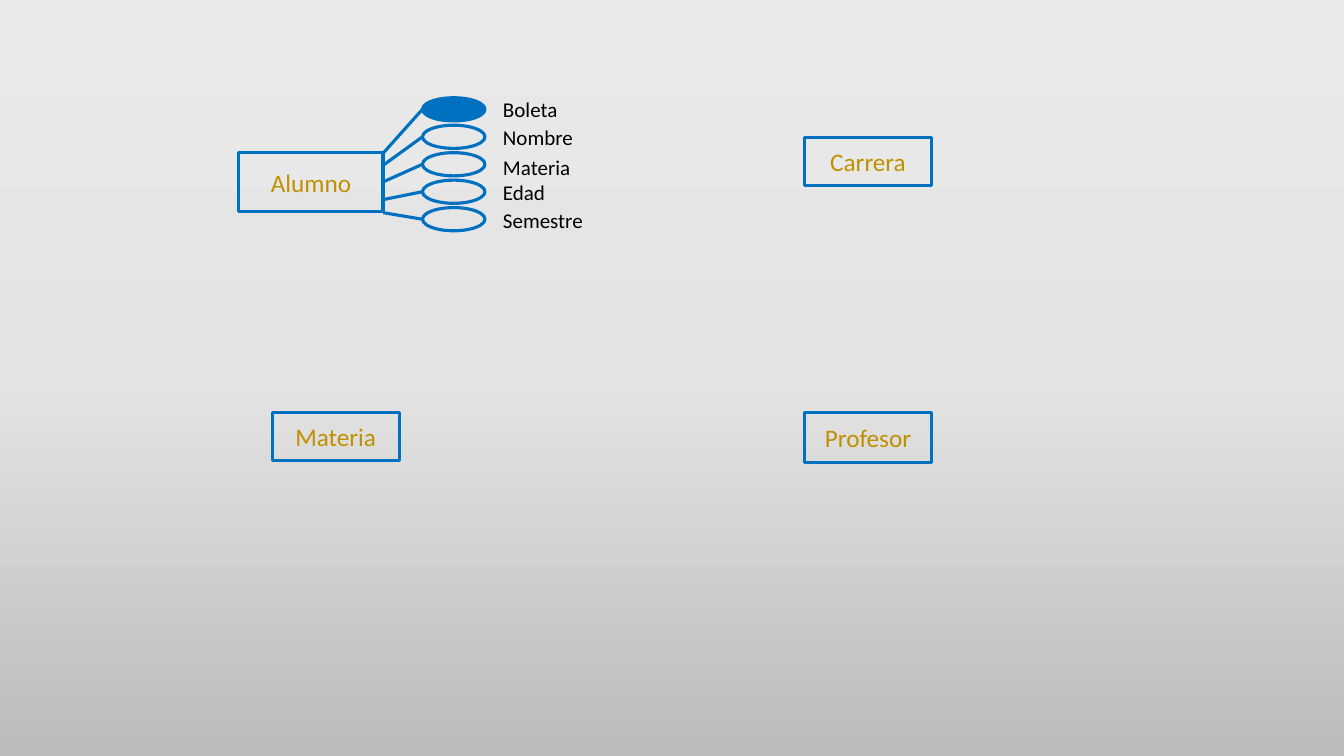
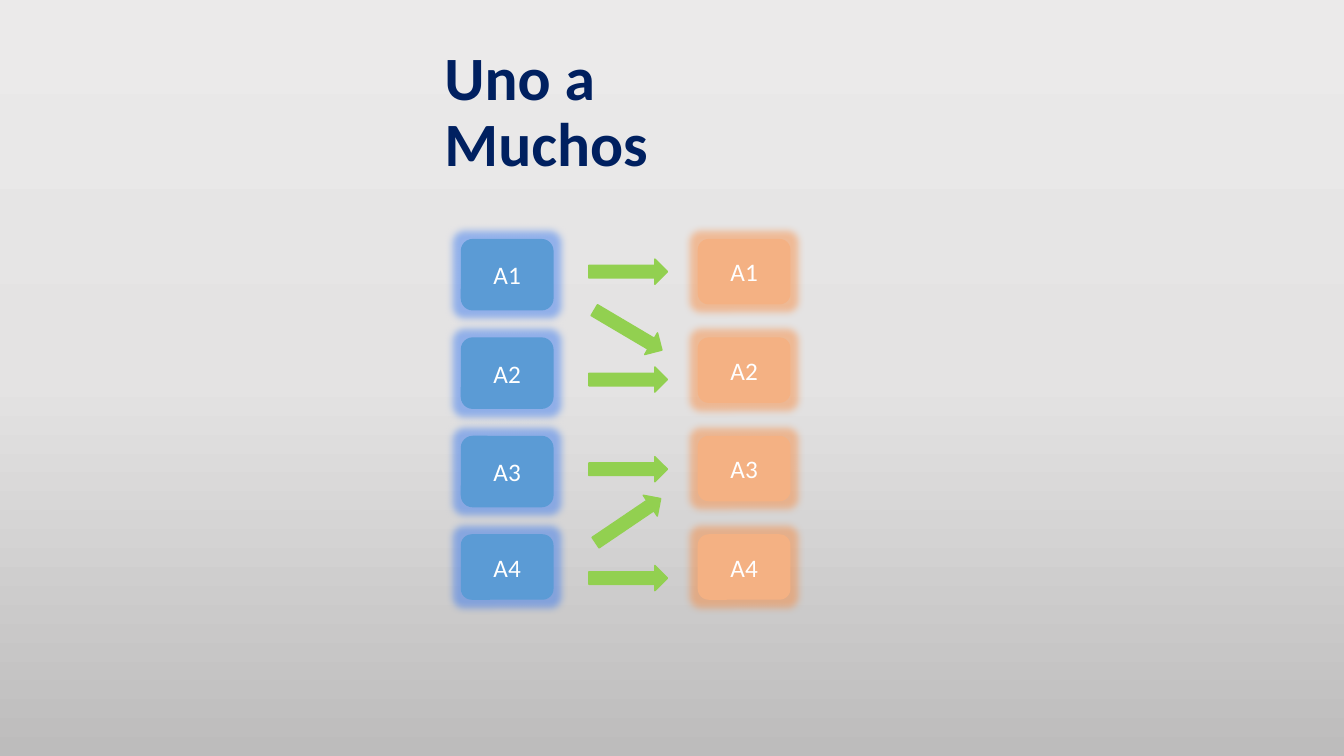
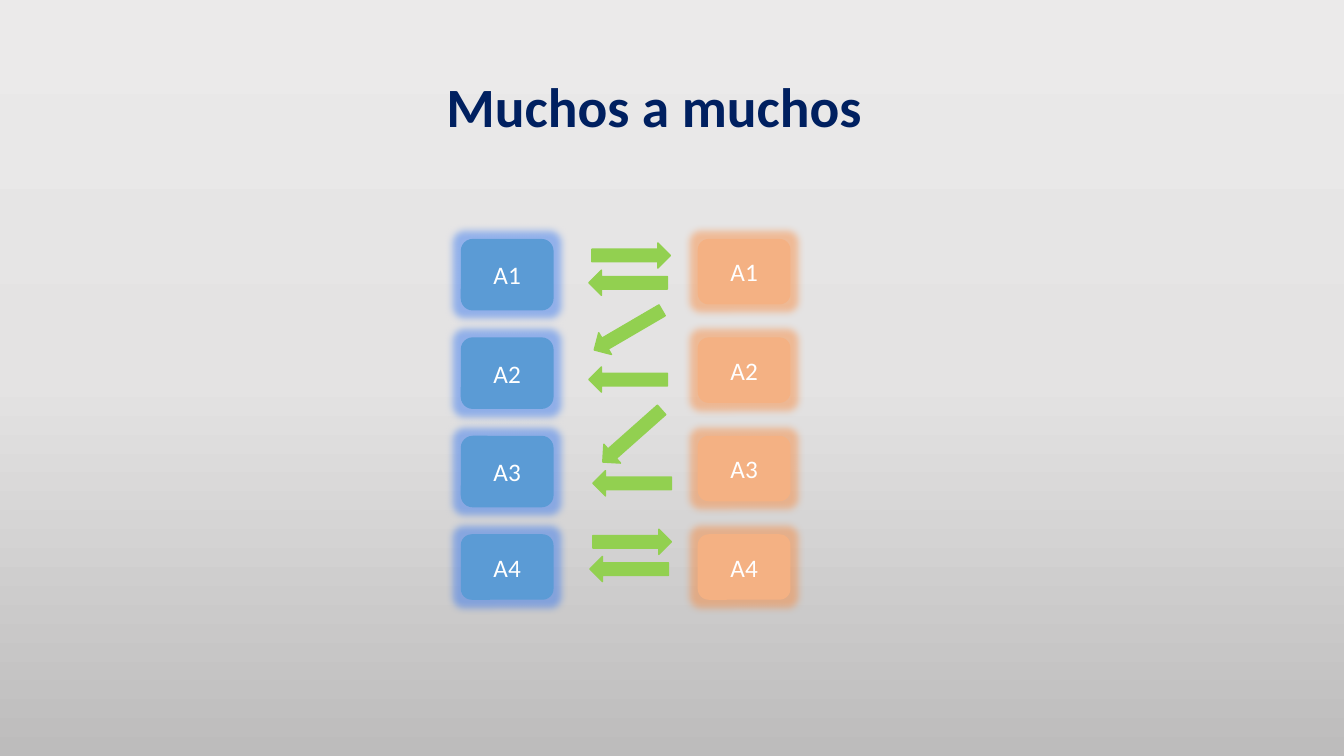
"""Entity attributes and table relationships, in three slides."""
import copy

import pptx
import pptx.dml.color
import pptx.enum.shapes
import pptx.enum.text
import pptx.oxml.ns
import pptx.oxml.xmlchemy
import pptx.util
from pptx.util import Inches

FONT = "Calibri"
COLOURS = {
    "outline": "0070C0", "entity": "BF9000", "label": "000000", "title": "002060",
    "left": "5B9BD5", "left_glow": "1463F4", "right": "F4B183", "right_glow": "FF7A1F",
    "arrow": "92D050", "record": "FFFFFF",
    "top": "EBEAEA", "middle": "E4E3E3", "bottom": "BDBCBC",
}
SHAPES = pptx.enum.shapes.MSO_SHAPE
ALIGN = pptx.enum.text.PP_ALIGN
ANCHOR = pptx.enum.text.MSO_ANCHOR

ENTITIES = [
    ("Materia", 2.7, 4.09, 1.26, 0.48),
    ("Profesor", 7.98, 4.09, 1.26, 0.5),
    ("Carrera", 7.98, 1.36, 1.26, 0.48),
]
ATTRIBUTES = [
    ("Boleta", 0.91, 0.75, 1.52),
    ("Nombre", 1.19, 0.9, 1.64),
    ("Materia", 1.48, 0.88, 1.81),
    ("Edad", 1.73, 0.62, 1.98),
    ("Semestre", 2.01, 1, 2.11),
]
ONE_TO_MANY = [
    (5.84, 2.57, 0), (5.84, 3.15, 30.6), (5.84, 3.64, 0),
    (5.84, 4.53, 0), (5.84, 5.61, 0), (5.84, 5.04, 325.9),
]
MANY_TO_MANY = [
    (5.84, 2.68, 180), (5.84, 3.15, 149.7), (5.84, 3.64, 180), (5.87, 2.41, 0),
    (5.88, 4.67, 180), (5.88, 4.2, 138.4), (5.85, 5.52, 180), (5.88, 5.25, 0),
]


def rgb(name):
    """Return the named colour."""
    return pptx.dml.color.RGBColor.from_string(COLOURS[name])


def add_element(parent, tag, **attributes):
    """Append an XML element with attributes to a parent."""
    element = pptx.oxml.xmlchemy.OxmlElement(tag)
    for key, value in attributes.items():
        element.set(key, value)
    parent.append(element)
    return element


def set_text(shape, text, size, colour, align=ALIGN.LEFT, bold=False):
    """Write one formatted paragraph into a shape and return it."""
    shape.text_frame.text = text
    paragraph = shape.text_frame.paragraphs[0]
    paragraph.alignment = align
    font = paragraph.runs[0].font
    font.name, font.size, font.bold = FONT, pptx.util.Pt(size), bold
    font.color.rgb = rgb(colour)
    return paragraph


def add_figure(slide, kind, box, fill=None, line=None, width=2.25):
    """Add a preset shape with the given fill and outline."""
    figure = slide.shapes.add_shape(kind, *map(Inches, box))
    figure.shadow.inherit = False
    if fill:
        figure.fill.solid()
        figure.fill.fore_color.rgb = rgb(fill)
    else:
        figure.fill.background()
    if line:
        figure.line.color.rgb = rgb(line)
        figure.line.width = pptx.util.Pt(width)
    else:
        figure.line.fill.background()
    return figure


def add_entity(slide, name, *box):
    """Add an outlined rectangle naming an entity."""
    entity = add_figure(slide, SHAPES.RECTANGLE, box, line="outline")
    entity.text_frame.vertical_anchor = ANCHOR.MIDDLE
    set_text(entity, name, 18, "entity", ALIGN.CENTER)
    return entity


def add_link(slide, start, end):
    """Add a straight line between two points."""
    link = slide.shapes.add_connector(
        pptx.enum.shapes.MSO_CONNECTOR.STRAIGHT, *map(Inches, start + end))
    link.line.color.rgb = rgb("outline")
    link.line.width = pptx.util.Pt(2.25)
    add_element(link._element.spPr, "a:effectLst")
    return link


def add_label(slide, text, *box):
    """Add an attribute name on one line."""
    label = slide.shapes.add_textbox(*map(Inches, box))
    label.text_frame.word_wrap = False
    label.text_frame.auto_size = pptx.enum.text.MSO_AUTO_SIZE.SHAPE_TO_FIT_TEXT
    set_text(label, text, 15, "label")


def add_title(slide, text, size, *box):
    """Add the slide heading."""
    title = slide.shapes.add_textbox(*map(Inches, box))
    title.text_frame.word_wrap = True
    title.text_frame.vertical_anchor = ANCHOR.MIDDLE
    set_text(title, text, size, "title", bold=True).line_spacing = 0.9


def add_glow(shape, colour):
    """Surround a shape with a translucent glow."""
    effects = shape._element.spPr.find(pptx.oxml.ns.qn("a:effectLst"))
    glow = add_element(effects, "a:glow", rad=str(int(pptx.util.Pt(11))))
    tint = add_element(glow, "a:srgbClr", val=COLOURS[colour])
    add_element(tint, "a:alpha", val="40000")


def add_records(slide, side, left, heights):
    """Add a column of glowing records A1 to A4."""
    pitch = (5.3 - 2.37) / 3
    for row, height in enumerate(heights):
        box = (left, 2.37 + row * pitch, 0.92, height)
        record = add_figure(slide, SHAPES.ROUNDED_RECTANGLE, box, fill=side)
        add_glow(record, side + "_glow")
        record.text_frame.vertical_anchor = ANCHOR.MIDDLE
        set_text(record, f"A{row + 1}", 18, "record", ALIGN.CENTER)


def set_background(master):
    """Give every slide the same vertical grey gradient."""
    fill = master.background.fill
    fill.gradient()
    fill.gradient_angle = 270
    stops = master.element.find(".//" + pptx.oxml.ns.qn("a:gsLst"))
    stops.insert(1, copy.deepcopy(stops[0]))
    for stop, name, position in zip(fill.gradient_stops, ("top", "middle", "bottom"), (0, 0.5, 1)):
        stop.color.rgb = rgb(name)
        stop.position = position


def build_entities(slide):
    """Draw the entities and the attributes of Alumno."""
    for entity in ENTITIES:
        add_entity(slide, *entity)
    student = add_entity(slide, "Alumno", 2.37, 1.51, 1.43, 0.59)
    for row, (name, label_top, label_width, link_top) in enumerate(ATTRIBUTES):
        top = 0.97 + row * (2.06 - 0.97) / 4
        add_figure(slide, SHAPES.OVAL, (4.19, top, 0.62, 0.23),
                   fill=None if row else "outline", line="outline")
        link = add_link(slide, (3.8, link_top), (4.19, top + 0.23 / 2))
        if row == 2:
            link.begin_connect(student, 3)
        add_label(slide, name, 4.89, label_top, label_width, 0.35)


def build_relationship(slide, title, arrows):
    """Draw two columns of records and the arrows between them."""
    add_title(slide, *title)
    add_records(slide, "left", 4.57, (0.71, 0.71, 0.71, 0.65))
    add_records(slide, "right", 6.92, (0.65,) * 4)
    for left, top, rotation in arrows:
        arrow = add_figure(slide, SHAPES.RIGHT_ARROW, (left, top, 0.78, 0.25),
                           fill="arrow", line="arrow", width=1)
        arrow.rotation = rotation


def main():
    """Build and save the presentation."""
    deck = pptx.Presentation()
    deck.slide_width, deck.slide_height = Inches(13.33), Inches(7.5)
    set_background(deck.slide_master)
    entities, one_to_many, many_to_many = (
        deck.slides.add_slide(deck.slide_layouts[6]) for _ in range(3))
    build_entities(entities)
    build_relationship(one_to_many, ("Uno a Muchos", 44, 4.31, 0.69, 3.82, 0.87), ONE_TO_MANY)
    build_relationship(many_to_many, ("Muchos a muchos", 39.6, 4.33, 0.65, 4.36, 0.87), MANY_TO_MANY)
    deck.save("out.pptx")


if __name__ == "__main__":
    main()
